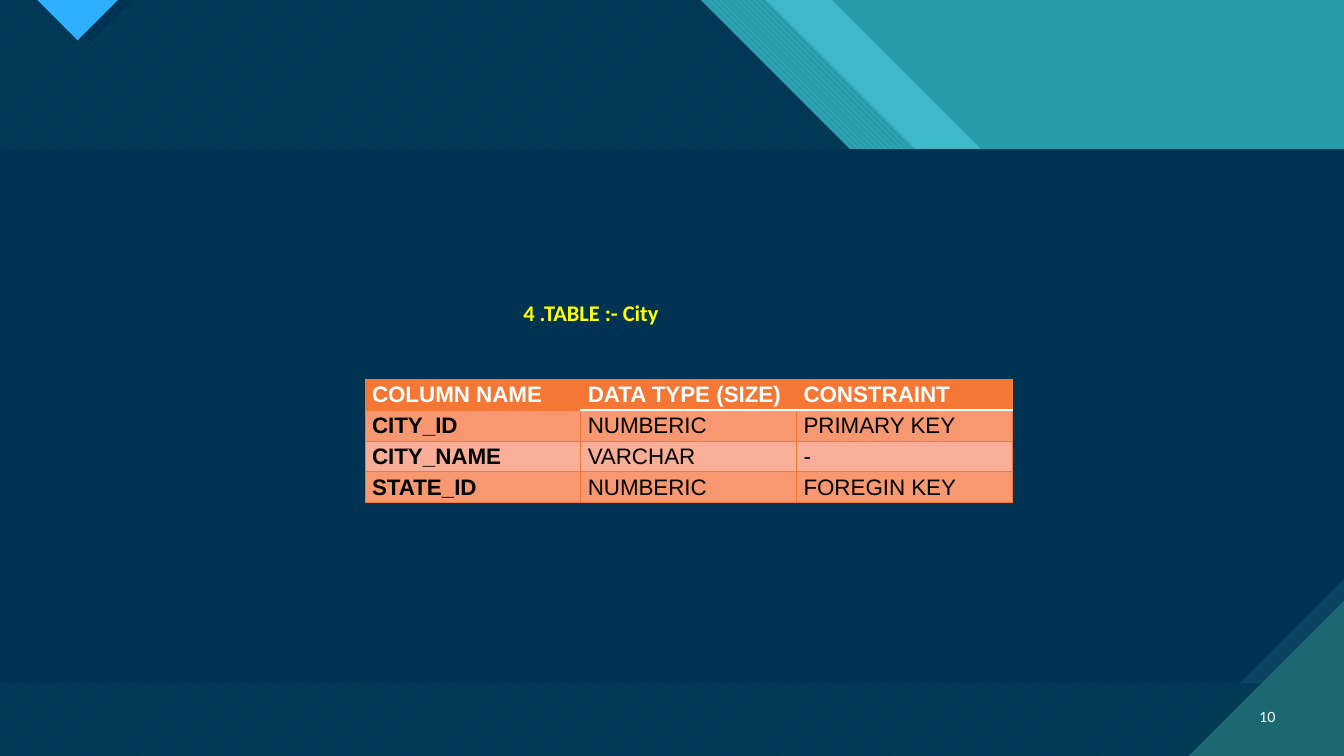
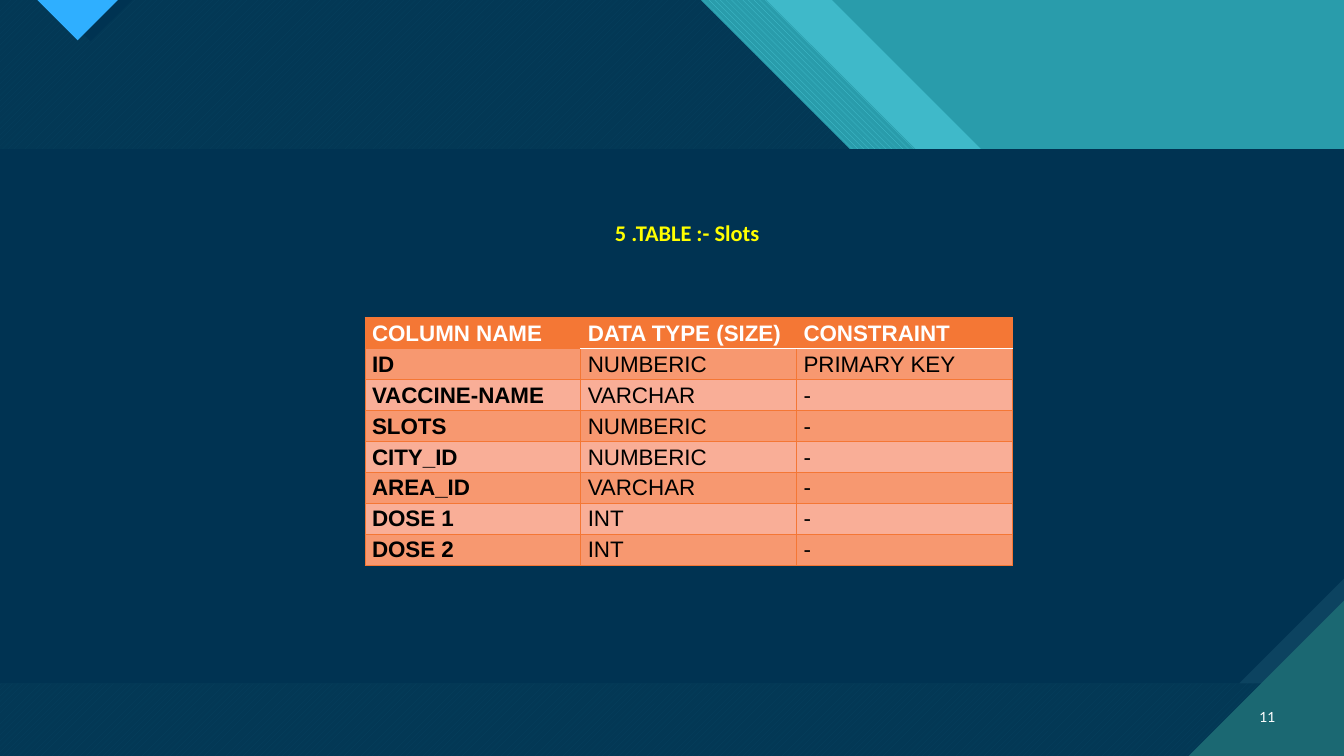
from dataclasses import dataclass

from lxml.etree import SubElement
from pptx import Presentation
from pptx.dml.color import RGBColor
from pptx.enum.dml import MSO_PATTERN
from pptx.enum.text import MSO_ANCHOR, PP_ALIGN
from pptx.oxml.ns import qn
from pptx.util import Inches, Pt

WIDE, HIGH = 13.33, 7.5
HEAD = ("COLUMN NAME", "DATA TYPE (SIZE)", "CONSTRAINT")


@dataclass(frozen=True)
class Theme:
    teal: str = "299CAB"
    light: str = "3FB9C9"
    stripe: str = "47C3D3"
    navy: str = "003352"
    dusk: str = "033855"
    thread: str = "07415F"
    edge: str = "0C4360"
    green: str = "1B6872"
    blue: str = "2FAFFF"
    white: str = "FFFFFF"
    black: str = "000000"
    yellow: str = "FFFF00"
    orange: str = "F47735"
    bands: tuple = ("F79870", "F9AE97")
    body: int = 16
    small: int = 10


def rgb(code):
    return RGBColor.from_string(code)


class Deck:
    def __init__(self, theme):
        self.theme = theme
        self.file = Presentation()
        self.file.slide_width = Inches(WIDE)
        self.file.slide_height = Inches(HIGH)
        self.slide = None

    def page(self, number):
        """Start a slide with the shared backdrop and its number."""
        t = self.theme
        self.slide = self.file.slides.add_slide(self.file.slide_layouts[6])
        back = self.slide.background.fill
        back.solid()
        back.fore_color.rgb = rgb(t.teal)
        self.slant(8.25, t.light)
        self.slant(7.6, t.teal, t.stripe, MSO_PATTERN.WIDE_DOWNWARD_DIAGONAL)
        self.slant(6.95, t.dusk, t.thread, MSO_PATTERN.WIDE_UPWARD_DIAGONAL)
        self.outline([(0.48, 0), (1.31, 0), (0.9, 0.41)], t.navy)
        self.outline([(0.37, 0), (1.17, 0), (0.77, 0.4)], t.blue)
        self.panel(t.edge)
        self.panel(t.navy, 1.04)
        self.outline([(11.79, HIGH), (WIDE, HIGH), (WIDE, 5.96)], t.green)
        self.label(str(number), 12.31, 6.91, 0.34, t.white, "Lato", t.small,
                   align=PP_ALIGN.RIGHT)

    def slant(self, x, color, fore=None, kind=None):
        """Fill the slide left of a 45 degree edge that starts at x."""
        points = [(0, 0), (x, 0), (WIDE, WIDE - x), (WIDE, HIGH), (0, HIGH)]
        self.outline(points, color, fore, kind)

    def panel(self, color, snip=0):
        """Draw the middle band, its lower right corner cut off by snip."""
        top, base = 1.48, 6.78
        self.outline([(0, top), (WIDE, top), (WIDE, base - snip),
                      (WIDE - snip, base), (0, base)], color)

    def outline(self, points, color, fore=None, kind=None):
        first, *rest = [(Inches(x), Inches(y)) for x, y in points]
        pen = self.slide.shapes.build_freeform(*first)
        pen.add_line_segments(rest, close=True)
        shape = pen.convert_to_shape()
        shape.shadow.inherit = False
        shape.line.fill.background()
        if kind is None:
            shape.fill.solid()
            shape.fill.fore_color.rgb = rgb(color)
        else:
            shape.fill.patterned()
            shape.fill.pattern = kind
            shape.fill.fore_color.rgb = rgb(fore)
            shape.fill.back_color.rgb = rgb(color)

    def label(self, text, x, y, width, color, face, size, bold=False,
              align=PP_ALIGN.LEFT):
        """Place one line of text in a box without side margins."""
        box = self.slide.shapes.add_textbox(
            Inches(x), Inches(y), Inches(width), Inches(0.4))
        frame = box.text_frame
        frame.word_wrap = True
        frame.vertical_anchor = MSO_ANCHOR.MIDDLE
        frame.margin_left = frame.margin_right = 0
        self.style(frame.paragraphs[0], text, color, face, size, bold)
        frame.paragraphs[0].alignment = align

    def style(self, para, text, color, face, size, bold):
        para.text = text
        font = para.font
        font.name, font.size, font.bold = face, Pt(size), bold
        font.color.rgb = rgb(color)

    def title(self, text, x, y):
        t = self.theme
        self.label(text, x, y, 3, t.yellow, "Calibri", t.body, True)

    def grid(self, y, rows):
        t = self.theme
        rows = [HEAD, *rows]
        table = self.slide.shapes.add_table(
            len(rows), len(HEAD), Inches(3.62), Inches(y),
            Inches(2.14 * len(HEAD)), Inches(0.29 * len(rows))).table
        for r, row in enumerate(rows):
            for c, text in enumerate(row):
                fill = t.bands[(r - 1) % 2] if r else t.orange
                ink = t.black if r else t.white
                cell = table.cell(r, c)
                self.cell(cell, text, fill, ink, r == 0 or c == 0)
                self.border(cell, top=r == 1 and c > 0, base=r == 0 and c > 0)

    def cell(self, cell, text, fill, ink, bold):
        cell.margin_left = cell.margin_right = Inches(0.07)
        cell.margin_top = cell.margin_bottom = 0
        cell.fill.solid()
        cell.fill.fore_color.rgb = rgb(fill)
        para = cell.text_frame.paragraphs[0]
        para.line_spacing = 1.15
        self.style(para, text, ink, "Arial", self.theme.body, bold)

    def border(self, cell, top, base):
        """Rule all four sides; top and base tell which are white."""
        t = self.theme
        props = cell._tc.get_or_add_tcPr()
        sides = {"lnL": False, "lnR": False, "lnT": top, "lnB": base}
        for spot, (side, white) in enumerate(sides.items()):
            line = SubElement(props, qn(f"a:{side}"),
                              w=str(Pt(1 if white else 0.5)))
            fill = SubElement(line, qn("a:solidFill"))
            SubElement(fill, qn("a:srgbClr"),
                       val=t.white if white else t.orange)
            props.insert(spot, line)


def main():
    deck = Deck(Theme())

    deck.page(10)
    deck.grid(3.76, [
        ("CITY_ID", "NUMBERIC", "PRIMARY KEY"),
        ("CITY_NAME", "VARCHAR", "-"),
        ("STATE_ID", "NUMBERIC", "FOREGIN KEY"),
    ])
    deck.title("4 .TABLE :- City", 5.19, 2.9)

    deck.page(11)
    deck.grid(3.15, [
        ("ID", "NUMBERIC", "PRIMARY KEY"),
        ("VACCINE-NAME", "VARCHAR", "-"),
        ("SLOTS", "NUMBERIC", "-"),
        ("CITY_ID", "NUMBERIC", "-"),
        ("AREA_ID", "VARCHAR", "-"),
        ("DOSE 1", "INT", "-"),
        ("DOSE 2", "INT", "-"),
    ])
    deck.title("5 .TABLE :- Slots", 6.1, 2.11)

    deck.file.save("out.pptx")


if __name__ == "__main__":
    main()
